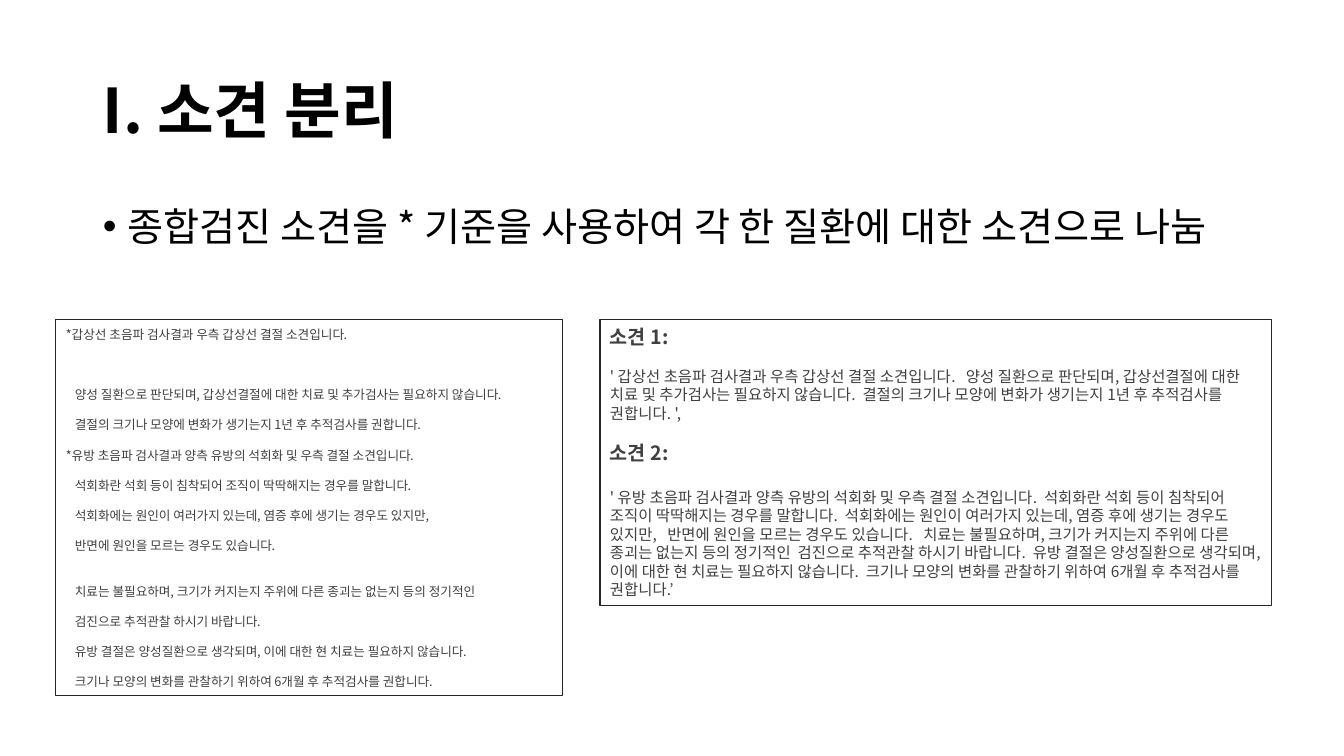
from lxml.etree import SubElement
from pptx import Presentation
from pptx.dml.color import RGBColor
from pptx.enum.shapes import MSO_SHAPE as SHAPE
from pptx.enum.text import MSO_ANCHOR as ANCHOR, PP_ALIGN as ALIGN
from pptx.oxml.ns import qn
from pptx.util import Pt

PX = 914400 / 100.8
FONT = "Noto Sans CJK KR"
LEADING = 1.2
BLACK = RGBColor(0x00, 0x00, 0x00)
GREY = RGBColor(0x40, 0x40, 0x40)
BORDER = RGBColor(0x26, 0x26, 0x26)


def px(value):
    return round(value * PX)


def write(paragraph, text, size, color, bold=False, leading=LEADING, before=0):
    """Fill a paragraph; before is the gap above it in points."""
    paragraph.text = text
    paragraph.alignment = ALIGN.LEFT
    paragraph.line_spacing = Pt(round(size * leading, 1))
    paragraph.space_before = Pt(before)
    font = paragraph.font
    font.name, font.size, font.bold = FONT, Pt(size), bold
    font.color.rgb = color
    for run in paragraph.runs:
        SubElement(run._r.get_or_add_rPr(), qn("a:ea")).set("typeface", FONT)


prs = Presentation()
prs.slide_width, prs.slide_height = px(1344), px(756)
slide = prs.slides.add_slide(prs.slide_layouts[6])

# Title and main point
headings = []
for top, height, anchor in ((40, 146, ANCHOR.MIDDLE), (202, 100, ANCHOR.TOP)):
    box = slide.shapes.add_textbox(px(93), px(top), px(1159), px(height))
    frame = box.text_frame
    frame.word_wrap = True
    frame.vertical_anchor = anchor
    headings.append(frame.paragraphs[0])
title, main_point = headings
write(title, "I. 소견 분리", 44, BLACK, bold=True, leading=LEADING * 0.9)
write(main_point, "종합검진 소견을 * 기준을 사용하여 각 한 질환에 대한 소견으로 나눔",
      28, BLACK, leading=LEADING * 0.9)
bullet = main_point._p.get_or_add_pPr()
bullet.set("marL", str(px(25)))
bullet.set("indent", str(px(-25)))
SubElement(bullet, qn("a:buFont")).set("typeface", "Arial")
SubElement(bullet, qn("a:buChar")).set("char", "•")
# Schema order: bullets come before the default run properties
default_run = bullet.find(qn("a:defRPr"))
if default_run is not None:
    bullet.append(default_run)

# Bordered boxes: the full report and the separated findings
frames = []
for left, width, height, anchor in ((56, 507, 376, ANCHOR.MIDDLE),
                                    (600, 672, 286, ANCHOR.TOP)):
    box = slide.shapes.add_shape(SHAPE.RECTANGLE, px(left), px(320), px(width), px(height))
    box.shadow.inherit = False
    box.fill.background()
    box.line.color.rgb = BORDER
    box.line.width = Pt(0.75)
    box.text_frame.word_wrap = True
    box.text_frame.vertical_anchor = anchor
    frames.append(box.text_frame)
report, findings = frames

# Full report: each line with the number of empty lines above it
REPORT_LINES = [
    ("*갑상선 초음파 검사결과 우측 갑상선 결절 소견입니다.", 0),
    ("양성 질환으로 판단되며, 갑상선결절에 대한 치료 및 추가검사는 필요하지 않습니다.", 3),
    ("결절의 크기나 모양에 변화가 생기는지 1년 후 추적검사를 권합니다.", 1),
    ("*유방 초음파 검사결과 양측 유방의 석회화 및 우측 결절 소견입니다.", 1),
    ("석회화란 석회 등이 침착되어 조직이 딱딱해지는 경우를 말합니다.", 1),
    ("석회화에는 원인이 여러가지 있는데, 염증 후에 생기는 경우도 있지만,", 1),
    ("반면에 원인을 모르는 경우도 있습니다.", 1),
    ("치료는 불필요하며, 크기가 커지는지 주위에 다른 종괴는 없는지 등의 정기적인", 2),
    ("검진으로 추적관찰 하시기 바랍니다.", 1),
    ("유방 결절은 양성질환으로 생각되며, 이에 대한 현 치료는 필요하지 않습니다.", 1),
    ("크기나 모양의 변화를 관찰하기 위하여 6개월 후 추적검사를 권합니다.", 1),
]
for index, (text, empty_lines) in enumerate(REPORT_LINES):
    line = report.add_paragraph() if index else report.paragraphs[0]
    write(line, text, 9, GREY, before=empty_lines * 9 * LEADING)
    if not text.startswith("*"):
        line._p.get_or_add_pPr().set("marL", str(px(9)))

# Separated findings: text, size, bold, size of the empty line above
FINDINGS = [
    ("소견 1:", 14, True, 0),
    ("' 갑상선 초음파 검사결과 우측 갑상선 결절 소견입니다.   양성 질환으로 판단되며, "
     "갑상선결절에 대한 치료 및 추가검사는 필요하지 않습니다.  결절의 크기나 모양에 "
     "변화가 생기는지 1년 후 추적검사를 권합니다. ',", 11, False, 11),
    ("소견 2:", 14, True, 11),
    ("' 유방 초음파 검사결과 양측 유방의 석회화 및 우측 결절 소견입니다.  석회화란 석회 "
     "등이 침착되어 조직이 딱딱해지는 경우를 말합니다.  석회화에는 원인이 여러가지 "
     "있는데, 염증 후에 생기는 경우도 있지만,   반면에 원인을 모르는 경우도 있습니다.   "
     "치료는 불필요하며, 크기가 커지는지 주위에 다른 종괴는 없는지 등의 정기적인  "
     "검진으로 추적관찰 하시기 바랍니다.  유방 결절은 양성질환으로 생각되며, 이에 대한 "
     "현 치료는 필요하지 않습니다.  크기나 모양의 변화를 관찰하기 위하여 6개월 후 "
     "추적검사를 권합니다.’", 11, False, 14),
]
for index, (text, size, bold, empty_size) in enumerate(FINDINGS):
    finding = findings.add_paragraph() if index else findings.paragraphs[0]
    write(finding, text, size, GREY, bold, before=empty_size * LEADING)

prs.save("out.pptx")
